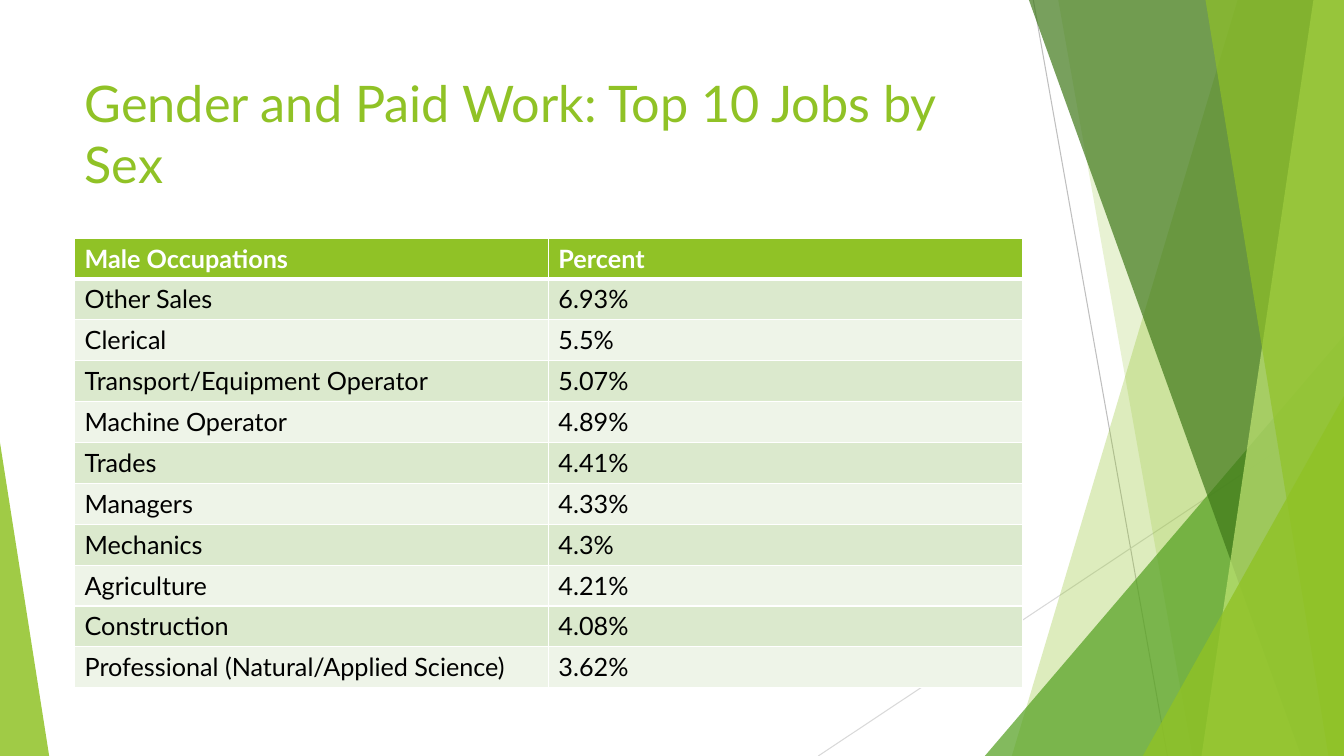
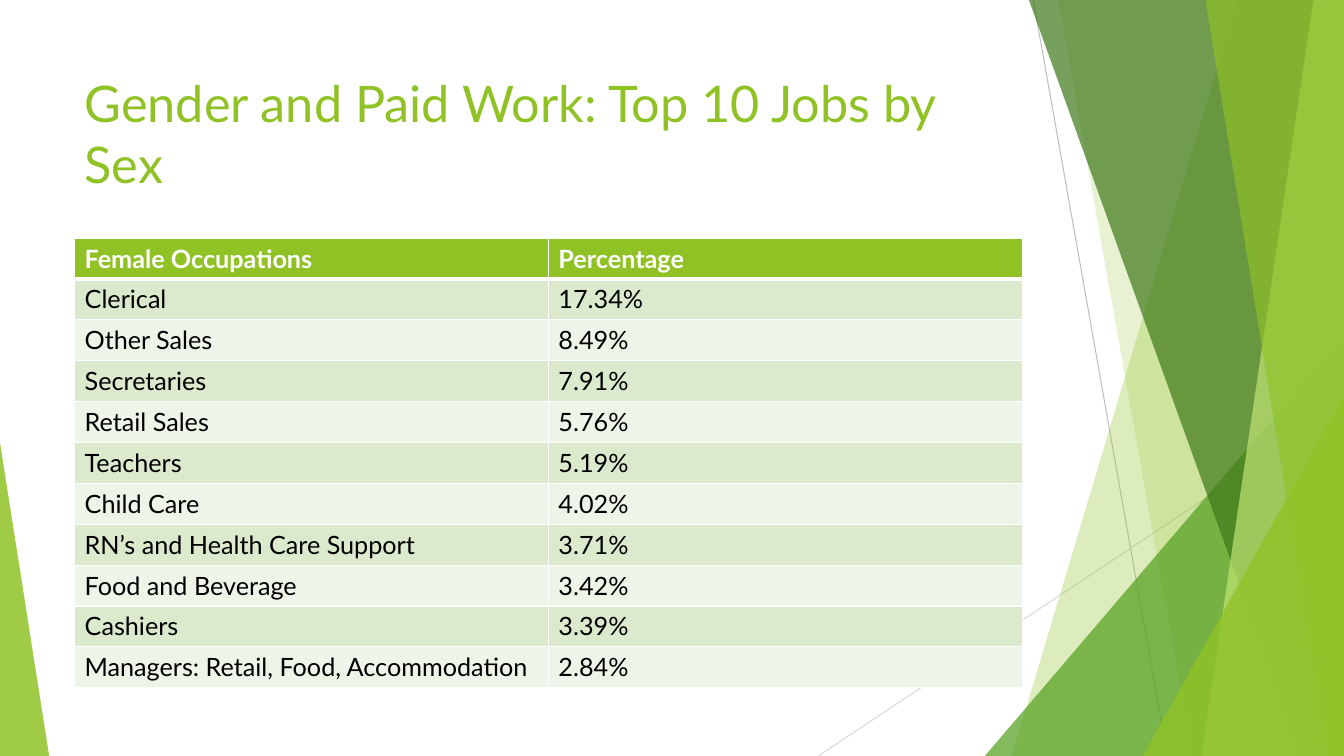
"""Build two slides that compare the ten most common jobs of men and women."""
from lxml import etree
from pptx import Presentation
from pptx.dml.color import RGBColor
from pptx.enum.shapes import MSO_CONNECTOR, MSO_SHAPE
from pptx.enum.text import MSO_ANCHOR, MSO_AUTO_SIZE, PP_ALIGN
from pptx.oxml.ns import qn
from pptx.util import Cm, Pt

STRAIGHT = MSO_CONNECTOR.STRAIGHT
TRIANGLE = MSO_SHAPE.ISOSCELES_TRIANGLE
TOP = MSO_ANCHOR.TOP
LEFT = PP_ALIGN.LEFT
NO_FIT = MSO_AUTO_SIZE.NONE

COLORS = {
    "lime": "90C226",
    "green": "54A021",
    "forest": "3F7819",
    "pale lime": "C0E474",
    "gray": "BFBFBF",
    "light gray": "D9D9D9",
    "odd row": "DBE9CD",
    "even row": "EEF4E8",
    "white": "FFFFFF",
    "black": "000000",
}
FONT = "Lato"
PAGE_WIDTH, PAGE_HEIGHT = 33.87, 19.05
MARGIN, CONTENT_WIDTH = 1.88, 23.88
TITLE_TOP, TITLE_HEIGHT = 1.7, 3.66
TABLE_TOP, ROW_HEIGHT = 6, 1.03
TITLE_ONLY = 5

TITLE = "Gender and Paid Work: Top 10 Jobs by Sex"
TABLES = [
    [
        ("Male Occupations", "Percent"),
        ("Other Sales", "6.93%"),
        ("Clerical", "5.5%"),
        ("Transport/Equipment Operator", "5.07%"),
        ("Machine Operator", "4.89%"),
        ("Trades", "4.41%"),
        ("Managers", "4.33%"),
        ("Mechanics", "4.3%"),
        ("Agriculture", "4.21%"),
        ("Construction", "4.08%"),
        ("Professional (Natural/Applied Science)", "3.62%"),
    ],
    [
        ("Female Occupations", "Percentage"),
        ("Clerical", "17.34%"),
        ("Other Sales", "8.49%"),
        ("Secretaries", "7.91%"),
        ("Retail Sales", "5.76%"),
        ("Teachers", "5.19%"),
        ("Child Care", "4.02%"),
        ("RN’s and Health Care Support", "3.71%"),
        ("Food and Beverage", "3.42%"),
        ("Cashiers", "3.39%"),
        ("Managers: Retail, Food, Accommodation", "2.84%"),
    ],
]


def rgb(name):
    return RGBColor.from_string(COLORS[name])


class Deck:
    def __init__(self):
        self.presentation = Presentation()
        self.presentation.slide_width = Cm(PAGE_WIDTH)
        self.presentation.slide_height = Cm(PAGE_HEIGHT)
        self.page = None

    def add_page(self, title):
        layout = self.presentation.slide_layouts[TITLE_ONLY]
        self.page = self.presentation.slides.add_slide(layout)
        self.add_decoration()
        self.set_title(title)

    def set_title(self, text):
        box = self.page.shapes.title
        box.left, box.top = Cm(MARGIN), Cm(TITLE_TOP)
        box.width, box.height = Cm(CONTENT_WIDTH), Cm(TITLE_HEIGHT)
        frame = box.text_frame
        frame.text = text
        frame.word_wrap = True
        frame.auto_size = NO_FIT
        frame.vertical_anchor = TOP
        frame.paragraphs[0].alignment = LEFT
        self.style_text(frame, 36, "lime")

    def style_text(self, frame, size, color, bold=False):
        for paragraph in frame.paragraphs:
            for span in paragraph.runs:
                span.font.name = FONT
                span.font.size = Pt(size)
                span.font.bold = bold
                span.font.color.rgb = rgb(color)

    def add_decoration(self):
        self.add_line(26.04, 0, 29.42, PAGE_HEIGHT, "gray")
        self.add_line(PAGE_WIDTH, 10.24, 20.62, PAGE_HEIGHT, "light gray")
        self.add_band(31.19, 25.5, "lime", 30)
        self.add_band(26.67, 30.05, "lime", 20)
        self.add_triangle(24.82, 8.46, 9.05, 1, "green", 72)
        self.add_band(25.93, 32.79, "forest", 70)
        self.add_band(33.1, 30.28, "pale lime", 70)
        self.add_band(30.38, 33.48, "lime", 65)
        self.add_triangle(28.8, 9.98, 5.07, 1, "lime", 80)
        self.add_triangle(0, 11.15, 1.24, 0, "lime", 85)

    def add_line(self, start_x, start_y, end_x, end_y, color):
        line = self.page.shapes.add_connector(
            STRAIGHT, Cm(start_x), Cm(start_y), Cm(end_x), Cm(end_y))
        line.line.color.rgb = rgb(color)
        line.line.width = Pt(0.75)
        etree.SubElement(line.element.spPr, qn("a:effectLst"))

    def add_band(self, top_x, bottom_x, color, opacity):
        builder = self.page.shapes.build_freeform(Cm(top_x), 0)
        corners = [(PAGE_WIDTH, 0), (PAGE_WIDTH, PAGE_HEIGHT), (bottom_x, PAGE_HEIGHT)]
        builder.add_line_segments([(Cm(x), Cm(y)) for x, y in corners], close=True)
        self.paint(builder.convert_to_shape(), color, opacity)

    def add_triangle(self, left, top, width, apex, color, opacity):
        shape = self.page.shapes.add_shape(
            TRIANGLE, Cm(left), Cm(top), Cm(width), Cm(PAGE_HEIGHT - top))
        shape.adjustments[0] = apex
        self.paint(shape, color, opacity)

    def paint(self, shape, color, opacity):
        shape.shadow.inherit = False
        shape.line.fill.background()
        shape.fill.solid()
        shape.fill.fore_color.rgb = rgb(color)
        fill_color = shape.element.spPr.find(qn("a:solidFill"))[0]
        etree.SubElement(fill_color, qn("a:alpha"), val=str(opacity * 1000))

    def add_table(self, rows):
        columns = len(rows[0])
        table = self.page.shapes.add_table(
            len(rows), columns, Cm(MARGIN), Cm(TABLE_TOP),
            Cm(CONTENT_WIDTH), Cm(ROW_HEIGHT * len(rows))).table
        for row_index, values in enumerate(rows):
            header = row_index == 0
            band = "odd row" if row_index % 2 else "even row"
            for column_index, value in enumerate(values):
                cell = table.cell(row_index, column_index)
                cell.text = value
                self.style_text(
                    cell.text_frame, 18, "white" if header else "black", header)
                self.add_borders(cell, 3 if row_index == 1 else 1, 3 if header else 1)
                cell.fill.solid()
                cell.fill.fore_color.rgb = rgb("lime" if header else band)

    def add_borders(self, cell, top, bottom):
        properties = cell._tc.get_or_add_tcPr()
        widths = {"a:lnL": 1, "a:lnR": 1, "a:lnT": top, "a:lnB": bottom}
        for tag, width in widths.items():
            border = etree.SubElement(properties, qn(tag), w=str(Pt(width)))
            fill = etree.SubElement(border, qn("a:solidFill"))
            etree.SubElement(fill, qn("a:srgbClr"), val=COLORS["white"])


def main():
    deck = Deck()
    for rows in TABLES:
        deck.add_page(TITLE)
        deck.add_table(rows)
    deck.presentation.save("out.pptx")


if __name__ == "__main__":
    main()
